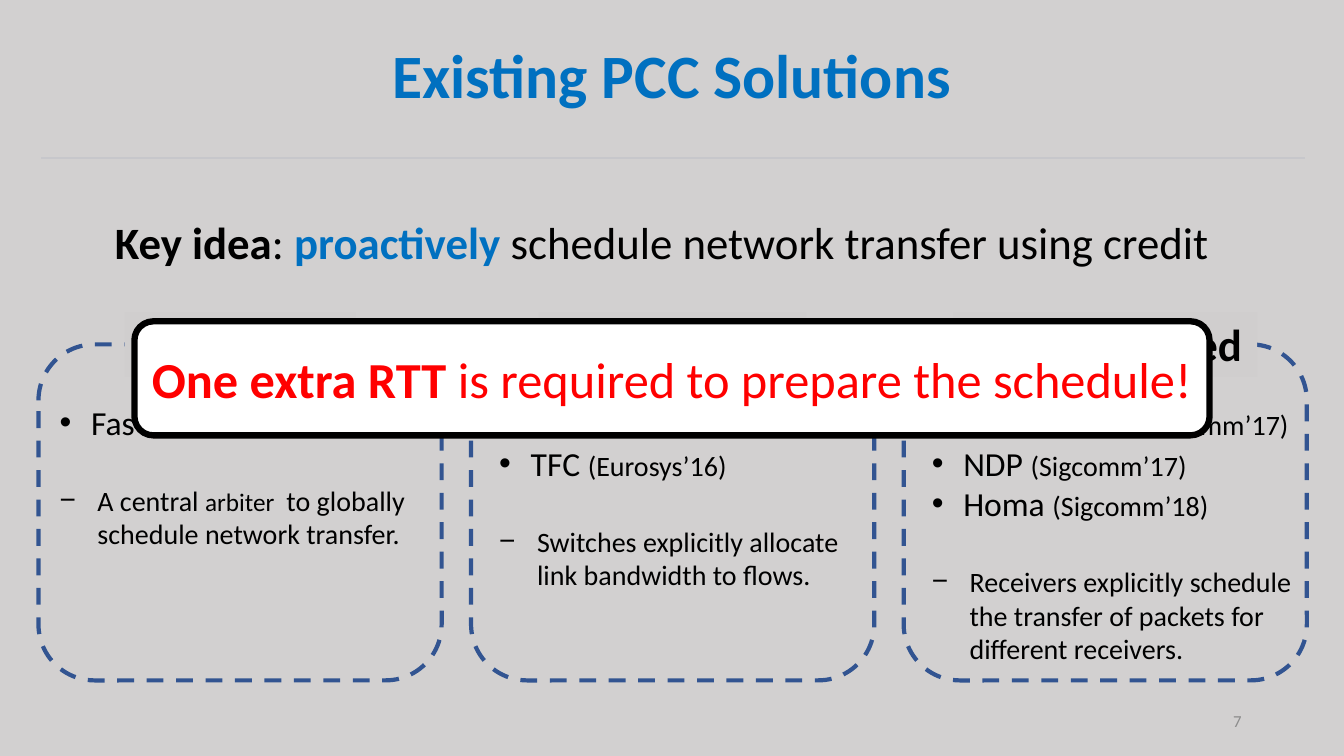
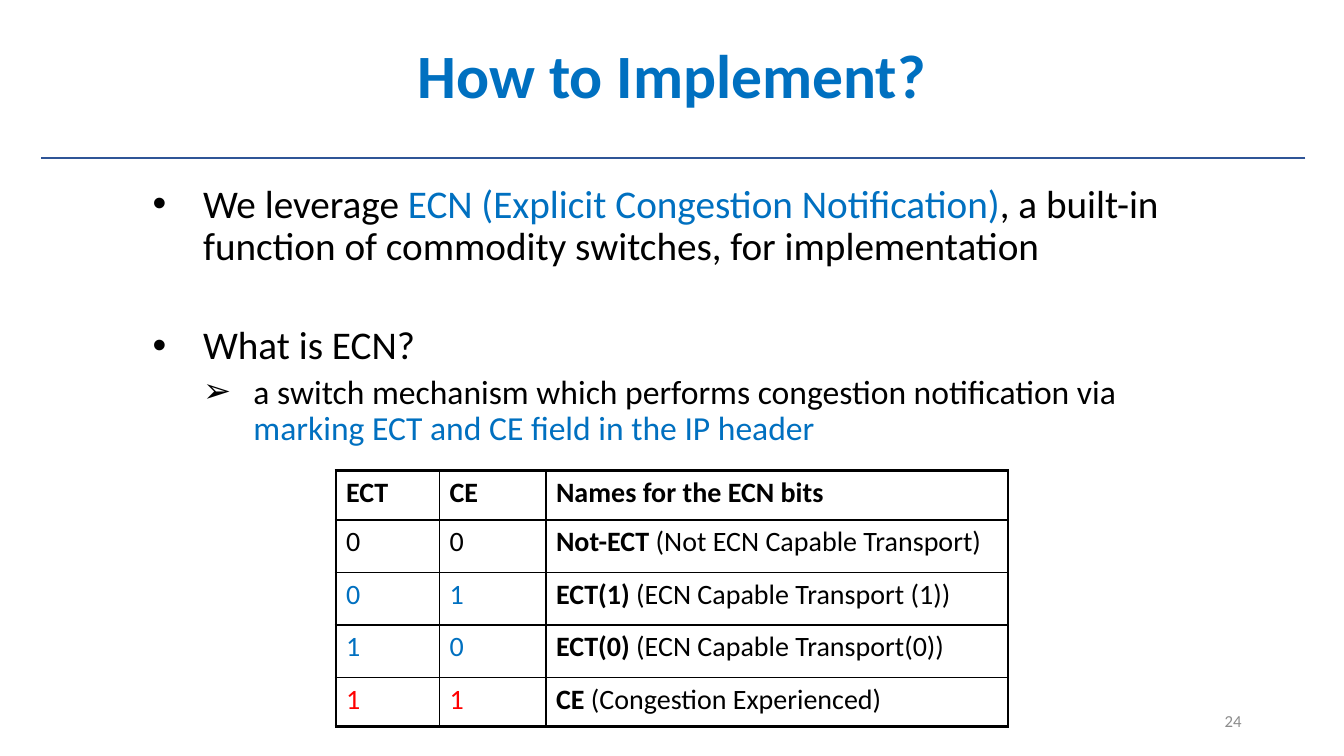
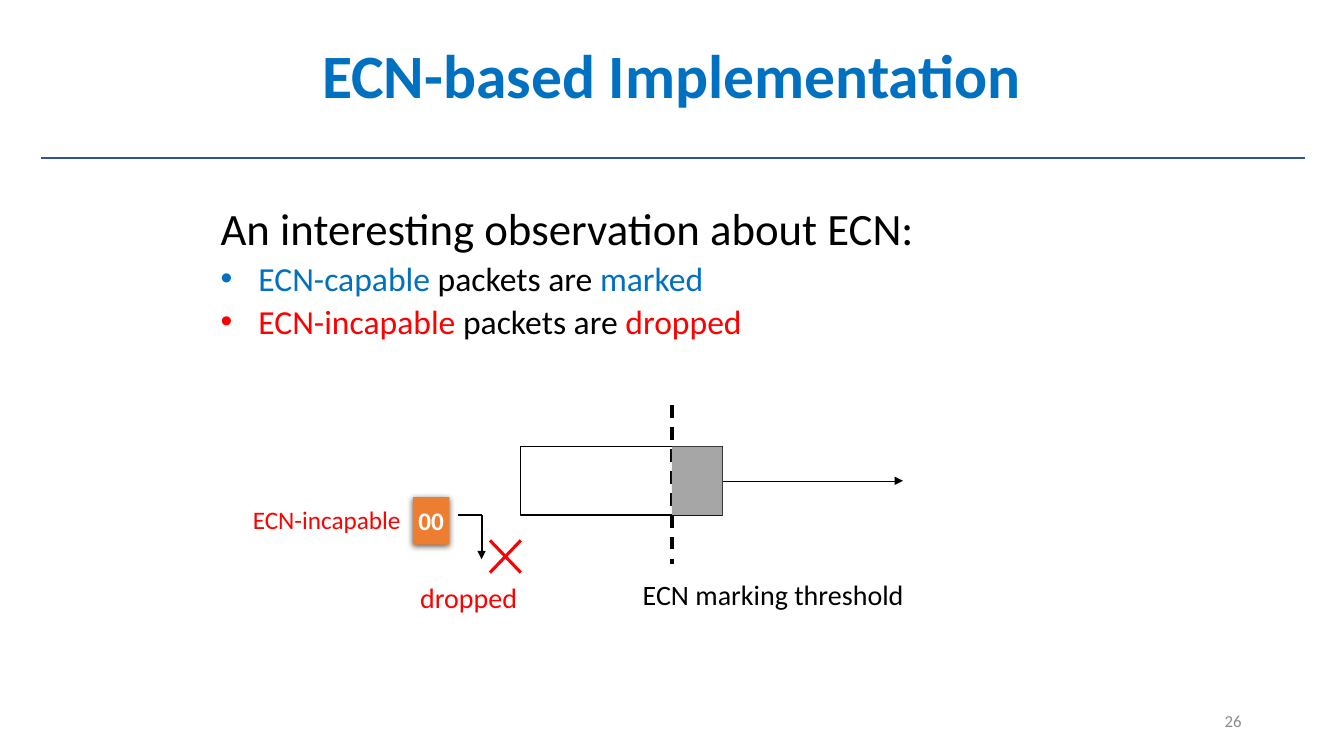
from lxml import etree
from pptx import Presentation
from pptx.dml.color import RGBColor
from pptx.enum.dml import MSO_LINE
from pptx.enum.shapes import MSO_CONNECTOR, MSO_SHAPE
from pptx.enum.text import MSO_ANCHOR, MSO_AUTO_SIZE, PP_ALIGN
from pptx.oxml.ns import qn
from pptx.util import Pt

DASH = MSO_LINE.DASH
LINE = MSO_CONNECTOR.STRAIGHT
RECT, ROUND = MSO_SHAPE.RECTANGLE, MSO_SHAPE.ROUNDED_RECTANGLE
TOP, MIDDLE = MSO_ANCHOR.TOP, MSO_ANCHOR.MIDDLE
CENTER, RIGHT = PP_ALIGN.CENTER, PP_ALIGN.RIGHT
FIXED = MSO_AUTO_SIZE.NONE

BLACK, WHITE, RED, BLUE = "000000", "FFFFFF", "FF0000", "0070C0"
NAVY, EDGE, SILVER, GRAY = "2F5597", "325491", "D0CECE", "8C8C8C"
ORANGE, ASH = "ED7D31", "A6A6A6"
FONT = "Calibri"

PLAIN = {}
MID = {"alignment": CENTER}
END = {"alignment": RIGHT}
HEAD = {"alignment": CENTER, "line_spacing": 0.9}
BODY = {"line_spacing": 0.9, "space_before": Pt(5)}
ITEM = {"bullet": ("•", 22.5, 22.5)}
NOTE = {"bullet": ("−", 27, 27), "space_before": Pt(29.25)}
POINT = {**BODY, "bullet": ("•", 36, 36)}
APART = {**POINT, "space_before": Pt(40.75)}
SUB = {**BODY, "bullet": ("➢", 72, 36)}
FACT = {**BODY, "bullet": ("•", 27, 27)}


def hue(code):
    return RGBColor.from_string(code)


def write(shape, paras, **frame):
    text = shape.text_frame
    for key, val in {"word_wrap": True, "auto_size": FIXED, "vertical_anchor": TOP, **frame}.items():
        setattr(text, key, val)
    for num, (style, runs) in enumerate(paras):
        para = text.add_paragraph() if num else text.paragraphs[0]
        for key, val in style.items():
            if key != "bullet":
                setattr(para, key, val)
        if "bullet" in style:
            mark, left, hang = style["bullet"]
            props = para._p.get_or_add_pPr()
            props.set("marL", str(Pt(left)))
            props.set("indent", str(-Pt(hang)))
            etree.SubElement(props, qn("a:buFont")).set("typeface", "Arial")
            etree.SubElement(props, qn("a:buChar")).set("char", mark)
        for words, size, code, bold in runs:
            run = para.add_run()
            run.text = words
            for key, val in {"name": FONT, "size": Pt(size), "bold": bold}.items():
                setattr(run.font, key, val)
            run.font.color.rgb = hue(code)


deck = Presentation()
deck.slide_width, deck.slide_height = Pt(960), Pt(540)
layout = deck.slide_layouts[5]
title = layout.placeholders[0]
for key, val in {"left": 0, "top": 0, "width": 960, "height": 112}.items():
    setattr(title, key, Pt(val))

slides = []
for name, page in [("Existing PCC Solutions", "7"), ("How to Implement?", "24"),
                   ("ECN-based Implementation", "26")]:
    slide = deck.slides.add_slide(layout)
    write(slide.shapes.title, [(HEAD, [(name, 44, BLUE, True)])], vertical_anchor=MIDDLE)
    box = slide.shapes.add_textbox(Pt(678), Pt(500.5), Pt(216), Pt(29))
    write(box, [(END, [(page, 12, GRAY, False)])], vertical_anchor=MIDDLE)
    slides.append(slide.shapes)
first, second, third = slides

veil = first.add_shape(RECT, 0, 0, Pt(960), Pt(540))
veil.shadow.inherit = False
veil.line.fill.background()
veil.fill.solid()
veil.fill.fore_color.rgb = hue(SILVER)
tint = veil.element.spPr.find(qn("a:solidFill"))[0]
etree.SubElement(tint, qn("a:alpha")).set("val", "95000")
first.element.insert(2, veil.element)

idea = first.add_textbox(Pt(75), Pt(150), Pt(810), Pt(46))
write(idea, [(PLAIN, [("Key idea", 32, BLACK, True), (": ", 32, BLACK, False),
                      ("proactively", 32, BLUE, True),
                      (" schedule network transfer using credit", 32, BLACK, False)])])

groups = [
    (165, 8, 283.5, 274, [("Fas", "")],
     [("A central ", 20), ("arbiter ", 18), (" to globally schedule network transfer.", 20)]),
    (191, 13, 312.75, 264, [("TFC ", "(Eurosys’16)")],
     [("Switches explicitly allocate link bandwidth to flows.", 20)]),
    (217, 13, 312.75, 274, [("NDP ", "(Sigcomm’17)"), ("Homa ", "(Sigcomm’18)")],
     [("Receivers explicitly schedule the transfer of packets for different receivers.", 20)]),
]
for num, (wide, inset, top, span, works, note) in enumerate(groups):
    left = 27.5 + 309 * num
    panel = first.add_shape(ROUND, Pt(left), Pt(246), Pt(288), Pt(240))
    panel.shadow.inherit = False
    panel.fill.background()
    panel.line.color.rgb = hue(EDGE)
    panel.line.width = Pt(3)
    panel.line.dash_style = DASH
    plate = first.add_shape(RECT, Pt(left + 144 - wide / 2), Pt(223), Pt(wide), Pt(46))
    plate.shadow.inherit = False
    plate.fill.solid()
    plate.fill.fore_color.rgb = hue(SILVER)
    plate.line.fill.background()
    box = first.add_textbox(Pt(left + inset), Pt(top), Pt(span), Pt(165))
    paras = []
    for work, venue in works:
        runs = [(work, 24, BLACK, False)]
        if venue:
            runs.append((venue, 20, BLACK, False))
        paras.append((ITEM, runs))
    paras.append((NOTE, [(words, size, BLACK, False) for words, size in note]))
    write(box, paras)

for words, end, top, size, bold in [("ed", 894.25, 223, 32, True), ("mm’17)", 927.5, 287.5, 20, False)]:
    box = first.add_textbox(Pt(end - 90), Pt(top), Pt(90), Pt(46))
    write(box, [(END, [(words, size, BLACK, bold)])])

call = first.add_shape(ROUND, Pt(96), Pt(229.5), Pt(768), Pt(81.5))
call.shadow.inherit = False
call.fill.solid()
call.fill.fore_color.rgb = hue(WHITE)
call.line.color.rgb = hue(BLACK)
call.line.width = Pt(4.5)
write(call, [(MID, [("One extra RTT ", 36, RED, True),
                    ("is required to prepare the schedule!", 36, RED, False)])], vertical_anchor=MIDDLE)

box = second.add_textbox(Pt(102), Pt(128), Pt(756), Pt(204))
write(box, [
    (POINT, [("We leverage ", 28, BLACK, False),
             ("ECN (Explicit Congestion Notification)", 28, BLUE, False),
             (", a built-in function of commodity switches, for implementation", 28, BLACK, False)]),
    (APART, [("What is ECN?", 28, BLACK, False)]),
    (SUB, [("a switch mechanism which performs congestion notification via ", 24, BLACK, False),
           ("marking ECT and CE field in the IP header", 24, BLUE, False)]),
])

rows = [
    ("ECT", "CE", "Names for the ECN bits", "", BLACK),
    ("0", "0", "Not-ECT", " (Not ECN Capable Transport)", BLACK),
    ("0", "1", "ECT(1)", " (ECN Capable Transport (1))", BLUE),
    ("1", "0", "ECT(0)", " (ECN Capable Transport(0))", BLUE),
    ("1", "1", "CE", " (Congestion Experienced)", RED),
]
grid = second.add_table(5, 3, Pt(240), Pt(336), Pt(480), Pt(183)).table
grid.first_row = grid.horz_banding = False
for col, wide in zip(grid.columns, [74, 76, 330]):
    col.width = Pt(wide)
for row, tall in zip(grid.rows, [35.5, 37.5, 37.5, 37.5, 35]):
    row.height = Pt(tall)
for y, (ect, ce, name, rest, code) in enumerate(rows):
    cells = [[(ect, 20, code, y == 0)], [(ce, 20, code, y == 0)], [(name, 20, BLACK, True)]]
    if rest:
        cells[2].append((rest, 20, BLACK, False))
    for x, runs in enumerate(cells):
        cell = grid.cell(y, x)
        write(cell, [(PLAIN, runs)])
        cell.fill.solid()
        cell.fill.fore_color.rgb = hue(WHITE)
        props = cell._tc.get_or_add_tcPr()
        sides = [("L", x == 0), ("R", x == 2), ("T", y == 0), ("B", y == 4)]
        for num, (side, outer) in enumerate(sides):
            edge = etree.Element(qn("a:ln" + side), w=str(Pt(2.25 if outer else 1)))
            fill = etree.SubElement(edge, qn("a:solidFill"))
            etree.SubElement(fill, qn("a:srgbClr")).set("val", BLACK)
            props.insert(num, edge)

box = third.add_textbox(Pt(150.5), Pt(144), Pt(659), Pt(323))
write(box, [
    (BODY, [("An interesting observation about ECN:", 32, BLACK, False)]),
    (FACT, [("ECN-capable ", 24, BLUE, False), ("packets are ", 24, BLACK, False),
            ("marked", 24, BLUE, False)]),
    (FACT, [("ECN-incapable", 24, RED, False), (" packets are ", 24, BLACK, False),
            ("dropped", 24, RED, False)]),
])

queue = third.add_shape(RECT, Pt(372), Pt(319), Pt(144), Pt(49))
queue.fill.background()
queue.line.color.rgb = hue(BLACK)
queue.line.width = Pt(1)

cords = []
for x1, y1, x2, y2, code, wide, dash, head in [
    (932.5, 112.75, 29, 112.75, NAVY, 1.5, None, False),
    (350, 386, 372, 409, RED, 2.25, None, False),
    (372, 386, 350, 409, RED, 2.25, None, False),
    (344, 368, 344, 399.5, BLACK, 1.5, None, True),
    (327, 368, 344, 368, BLACK, 1.5, None, False),
    (480, 289.5, 480, 403, BLACK, 2.25, DASH, False),
    (516, 343.5, 645, 343.5, BLACK, 0.5, None, True),
]:
    cord = third.add_connector(LINE, Pt(x1), Pt(y1), Pt(x2), Pt(y2))
    cord.line.color.rgb = hue(code)
    cord.line.width = Pt(wide)
    if dash:
        cord.line.dash_style = dash
    if head:
        etree.SubElement(cord.line._get_or_add_ln(), qn("a:tailEnd")).set("type", "triangle")
    etree.SubElement(cord.element.spPr, qn("a:effectLst"))
    cords.append(cord)
layout.shapes.element.append(cords[0].element)
cords[-1].begin_connect(queue, 3)

packet = third.add_shape(RECT, Pt(295), Pt(355), Pt(26), Pt(34))
fore = third.add_shape(RECT, Pt(480), Pt(319), Pt(36), Pt(49))
for shape, code in [(packet, ORANGE), (fore, ASH)]:
    shape.fill.solid()
    shape.fill.fore_color.rgb = hue(code)
    shape.line.fill.background()
for shape in (queue, packet, fore):
    shape.shadow.inherit = False
write(packet, [(MID, [("00", 18, WHITE, True)])], word_wrap=False, vertical_anchor=MIDDLE,
      margin_left=0, margin_right=0)
glow = etree.SubElement(packet.element.spPr.find(qn("a:effectLst")), qn("a:outerShdw"),
                        blurRad=str(Pt(4.5)), dist=str(Pt(1.5)), dir="5400000", rotWithShape="0")
shade = etree.SubElement(glow, qn("a:srgbClr"), val=BLACK)
etree.SubElement(shade, qn("a:alpha")).set("val", "63000")

for words, left, top, wide, tall, size, code in [
    ("ECN marking threshold", 452, 409, 202, 31.5, 20, BLACK),
    ("ECN-incapable", 173.5, 357, 122, 29, 18, RED),
    ("dropped", 293, 411, 84, 31.5, 20, RED),
]:
    box = third.add_textbox(Pt(left), Pt(top), Pt(wide), Pt(tall))
    write(box, [(PLAIN, [(words, size, code, False)])], word_wrap=False)

deck.save("out.pptx")
